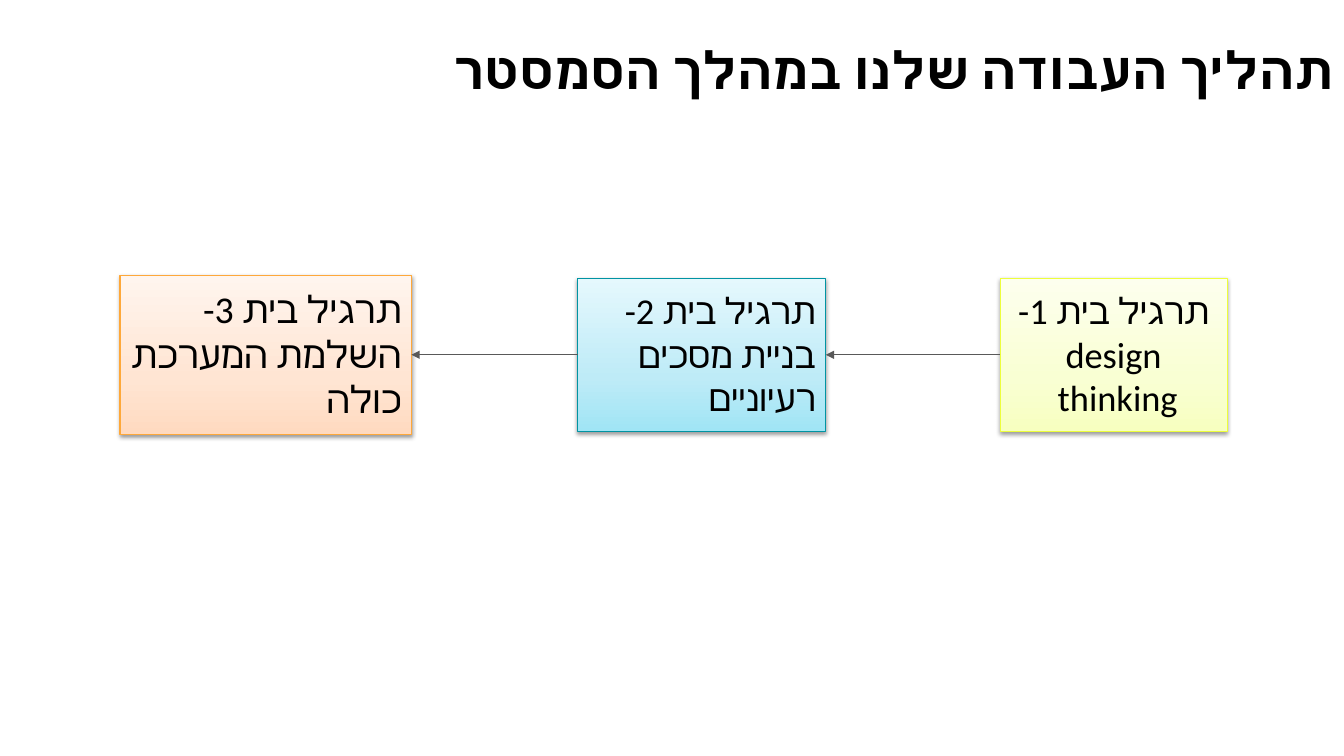
from dataclasses import dataclass
from itertools import pairwise

from pptx import Presentation
from pptx.dml.color import RGBColor as Rgb
from pptx.enum.shapes import MSO_CONNECTOR as Link, MSO_SHAPE as Form
from pptx.enum.text import MSO_ANCHOR as Anchor, MSO_AUTO_SIZE as Fit, PP_ALIGN as Align
from pptx.oxml import parse_xml
from pptx.oxml.ns import nsdecls
from pptx.shapes.autoshape import Shape
from pptx.slide import Slide
from pptx.text.text import TextFrame
from pptx.util import Inches, Pt


@dataclass(frozen=True)
class Theme:
    font: str = "Calibri"
    ink: str = "000000"
    arrow: str = "595959"
    line: float = 0.75
    title: int = 37
    pad: float = 0.1


@dataclass(frozen=True)
class Step:
    text: str
    left: float
    top: float
    width: float
    height: float
    size: int
    stops: tuple[str, str, str]
    edge: str
    align: Align = Align.RIGHT


THEME = Theme()
TITLE = "תהליך העבודה שלנו במהלך הסמסטר"
STEPS = [
    Step("תרגיל בית 1- design thinking ", 9.92, 2.76, 2.25, 1.52, 26,
         ("F7FFC0", "F9FFD3", "FDFFEE"), "EDFE3B", Align.CENTER),
    Step("תרגיל בית 2- בניית מסכים רעיוניים", 5.73, 2.76, 2.46, 1.52, 26,
         ("A0E5F5", "BEEBF7", "E5F8FD"), "0094A3"),
    Step("תרגיל בית 3- השלמת המערכת כולה", 1.19, 2.73, 2.89, 1.58, 27,
         ("FFDAC0", "FFE5D3", "FFF5EE"), "FEA83A"),
]


def shadow(blur: float, dist: float, turn: int, alpha: int):
    return parse_xml(
        f'<a:effectLst {nsdecls("a")}><a:outerShdw blurRad="{Pt(blur)}" '
        f'dist="{Pt(dist)}" dir="{turn * 60000}" algn="tl" rotWithShape="0">'
        f'<a:srgbClr val="{THEME.ink}"><a:alpha val="{alpha * 1000}"/></a:srgbClr>'
        '</a:outerShdw></a:effectLst>')


def blend(stops: tuple[str, str, str]):
    marks = "".join(f'<a:gs pos="{spot * 1000}"><a:srgbClr val="{tint}"/></a:gs>'
                    for spot, tint in zip((0, 35, 100), stops))
    return parse_xml(f'<a:gradFill {nsdecls("a")} rotWithShape="1"><a:gsLst>{marks}'
                     '</a:gsLst><a:lin ang="16200000" scaled="0"/></a:gradFill>')


def write(frame: TextFrame, text: str, size: int, align: Align, pad: float):
    frame.word_wrap = True
    frame.margin_left = frame.margin_right = Inches(THEME.pad)
    frame.margin_top = frame.margin_bottom = Inches(pad)
    para = frame.paragraphs[0]
    para.add_run().text = text
    para.alignment = align
    para._p.get_or_add_pPr().set("rtl", "1")
    font = para.font
    font.name = THEME.font
    font.size = Pt(size)
    font.color.rgb = Rgb.from_string(THEME.ink)
    font._rPr.append(parse_xml(f'<a:cs {nsdecls("a")} typeface="{THEME.font}"/>'))
    return para


def head(slide: Slide) -> None:
    box = slide.shapes.add_textbox(Inches(1.83), 0, Inches(11.5), Inches(1.45))
    box.text_frame.vertical_anchor = Anchor.MIDDLE
    para = write(box.text_frame, TITLE, THEME.title, Align.RIGHT, 0.05)
    para.line_spacing = 0.9
    para.font.bold = True
    para.runs[0].font._rPr.append(shadow(3, 3, 45, 43))


def card(slide: Slide, step: Step) -> Shape:
    box = slide.shapes.add_shape(
        Form.RECTANGLE, Inches(step.left), Inches(step.top),
        Inches(step.width), Inches(step.height))
    box.line.color.rgb = Rgb.from_string(step.edge)
    box.line.width = Pt(THEME.line)
    props = box._element.spPr
    props.insert(2, blend(step.stops))
    props.append(shadow(3.1, 1.6, 90, 38))
    frame = box.text_frame
    write(frame, step.text, step.size, step.align, THEME.pad)
    frame.vertical_anchor = Anchor.TOP
    frame.auto_size = Fit.SHAPE_TO_FIT_TEXT
    return box


def arrow(slide: Slide, start: Shape, end: Shape) -> None:
    link = slide.shapes.add_connector(Link.STRAIGHT, 0, 0, 0, 0)
    link.begin_connect(start, 1)
    link.end_connect(end, 3)
    link.line.color.rgb = Rgb.from_string(THEME.arrow)
    link.line.width = Pt(THEME.line)
    link.line._get_or_add_ln().append(
        parse_xml(f'<a:tailEnd {nsdecls("a")} type="triangle"/>'))
    link._element.spPr.append(parse_xml(f'<a:effectLst {nsdecls("a")}/>'))


def main() -> None:
    deck = Presentation()
    deck.slide_width, deck.slide_height = Inches(13.33), Inches(7.5)
    slide = deck.slides.add_slide(deck.slide_layouts[6])
    head(slide)
    cards = [card(slide, step) for step in STEPS]
    for start, end in pairwise(cards):
        arrow(slide, start, end)
    deck.save("out.pptx")


if __name__ == "__main__":
    main()
